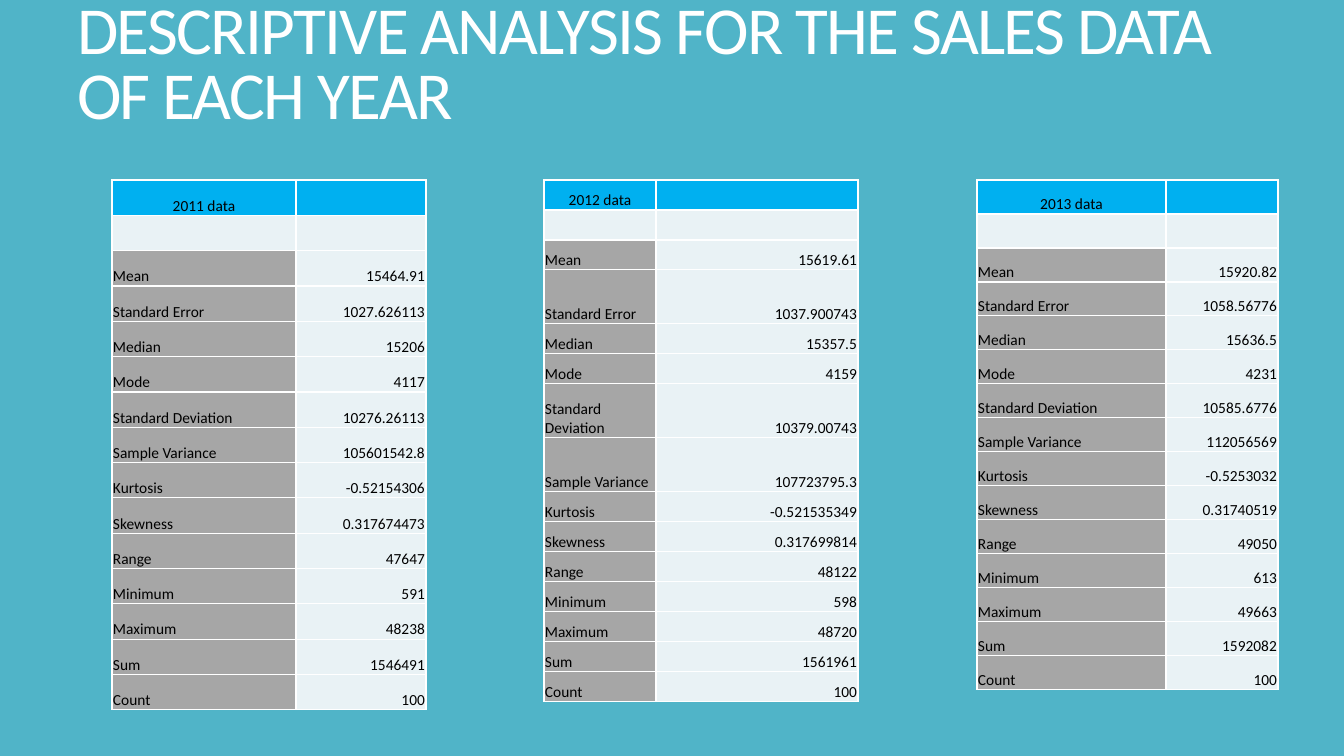
from lxml.etree import SubElement
from pptx import Presentation
from pptx.dml.color import RGBColor
from pptx.enum.text import MSO_ANCHOR, MSO_AUTO_SIZE, PP_ALIGN
from pptx.oxml.ns import qn
from pptx.util import Emu, Pt

TEAL = RGBColor(0x50, 0xB4, 0xC8)
WHITE = RGBColor(0xFF, 0xFF, 0xFF)
BLACK = RGBColor(0x00, 0x00, 0x00)
BLUE = RGBColor(0x00, 0xB0, 0xF0)
GRAY = RGBColor(0xA6, 0xA6, 0xA6)
PALE = RGBColor(0xE9, 0xF2, 0xF5)

MEASURES = [
    "Mean", "Standard Error", "Median", "Mode", "Standard Deviation",
    "Sample Variance", "Kurtosis", "Skewness", "Range", "Minimum",
    "Maximum", "Sum", "Count",
]
EVEN_ROWS = [1] * (len(MEASURES) + 2)
TALL_MEASURES = ("Standard Error", "Standard Deviation", "Sample Variance")
UNEVEN_ROWS = [30, 30] + [54 if name in TALL_MEASURES else 30 for name in MEASURES]

# year, left, column widths, height, relative row heights, values
YEARS = [
    ("2011", 112, (184, 130), 530, EVEN_ROWS,
     ["15464.91", "1027.626113", "15206", "4117", "10276.26113", "105601542.8",
      "-0.52154306", "0.317674473", "47647", "591", "48238", "1546491", "100"]),
    ("2012", 544, (112, 202), 522, UNEVEN_ROWS,
     ["15619.61", "1037.900743", "15357.5", "4159", "10379.00743", "107723795.3",
      "-0.521535349", "0.317699814", "48122", "598", "48720", "1561961", "100"]),
    ("2013", 977, (189, 112), 510, EVEN_ROWS,
     ["15920.82", "1058.56776", "15636.5", "4231", "10585.6776", "112056569",
      "-0.5253032", "0.31740519", "49050", "613", "49663", "1592082", "100"]),
]
TABLE_TOP = 180


def px(length):
    return Emu(round(length * 914400 / 100.8))


class SalesSlide:
    font_name = "Calibri"
    title_size = 48
    table_size = 11

    def __init__(self, presentation):
        self.slide = presentation.slides.add_slide(presentation.slide_layouts[5])
        background = self.slide.background.fill
        background.solid()
        background.fore_color.rgb = TEAL

    def style(self, paragraph, size, color, align):
        paragraph.alignment = align
        paragraph.font.name = self.font_name
        paragraph.font.size = Pt(size)
        paragraph.font.color.rgb = color

    def title(self, text, left, top, width, height, space_below):
        shape = self.slide.shapes.title
        shape.left, shape.top = px(left), px(top)
        shape.width, shape.height = px(width), px(height)
        frame = shape.text_frame
        frame.text = text
        frame.word_wrap = True
        frame.auto_size = MSO_AUTO_SIZE.NONE
        frame.vertical_anchor = MSO_ANCHOR.BOTTOM
        frame.margin_bottom = px(space_below)
        paragraph = frame.paragraphs[0]
        paragraph.line_spacing = 0.8
        self.style(paragraph, self.title_size, WHITE, PP_ALIGN.LEFT)
        paragraph.runs[0].font._element.set("spc", "-120")

    def border(self, cell):
        properties = cell._tc.get_or_add_tcPr()
        for side in ("lnL", "lnR", "lnT", "lnB"):
            line = SubElement(properties, qn(f"a:{side}"), w=str(Pt(1)))
            fill = SubElement(line, qn("a:solidFill"))
            SubElement(fill, qn("a:srgbClr"), val=str(WHITE))

    def cell(self, cell, text, fill, align):
        self.border(cell)
        cell.fill.solid()
        cell.fill.fore_color.rgb = fill
        cell.vertical_anchor = MSO_ANCHOR.BOTTOM
        cell.margin_left = cell.margin_right = cell.margin_top = px(1)
        cell.margin_bottom = 0
        cell.text = text
        paragraph = cell.text_frame.paragraphs[0]
        self.style(paragraph, self.table_size, BLACK, align)
        if not text:  # an empty cell takes its line height from the end mark
            end_mark = SubElement(paragraph._p, qn("a:endParaRPr"))
            end_mark.set("sz", str(self.table_size * 100))

    def table(self, rows, left, top, widths, height, row_weights):
        """Rows share the height in proportion to their weights."""
        frame = self.slide.shapes.add_table(
            len(rows), len(widths), px(left), px(top), px(sum(widths)), px(height))
        table = frame.table
        table.first_row = table.horz_banding = False
        for column, width in zip(table.columns, widths):
            column.width = px(width)
        for row, weight in zip(table.rows, row_weights):
            row.height = px(height * weight / sum(row_weights))
        for row, cells in zip(table.rows, rows):
            for cell, (text, fill, align) in zip(row.cells, cells):
                self.cell(cell, text, fill, align)


def year_rows(year, values):
    heading = [(f"{year} data", BLUE, PP_ALIGN.CENTER), ("", BLUE, PP_ALIGN.CENTER)]
    spacer = [("", PALE, PP_ALIGN.LEFT)] * 2
    measures = [
        [(name, GRAY, PP_ALIGN.LEFT), (value, PALE, PP_ALIGN.RIGHT)]
        for name, value in zip(MEASURES, values)
    ]
    return [heading, spacer] + measures


def main():
    presentation = Presentation()
    presentation.slide_width, presentation.slide_height = px(1344), px(756)
    sales = SalesSlide(presentation)
    sales.title("DESCRIPTIVE ANALYSIS FOR THE SALES DATA OF EACH YEAR",
                67, 85, 1188, 129, space_below=82)
    for year, left, widths, height, row_weights, values in YEARS:
        sales.table(year_rows(year, values), left, TABLE_TOP, widths, height, row_weights)
    presentation.save("out.pptx")


if __name__ == "__main__":
    main()
